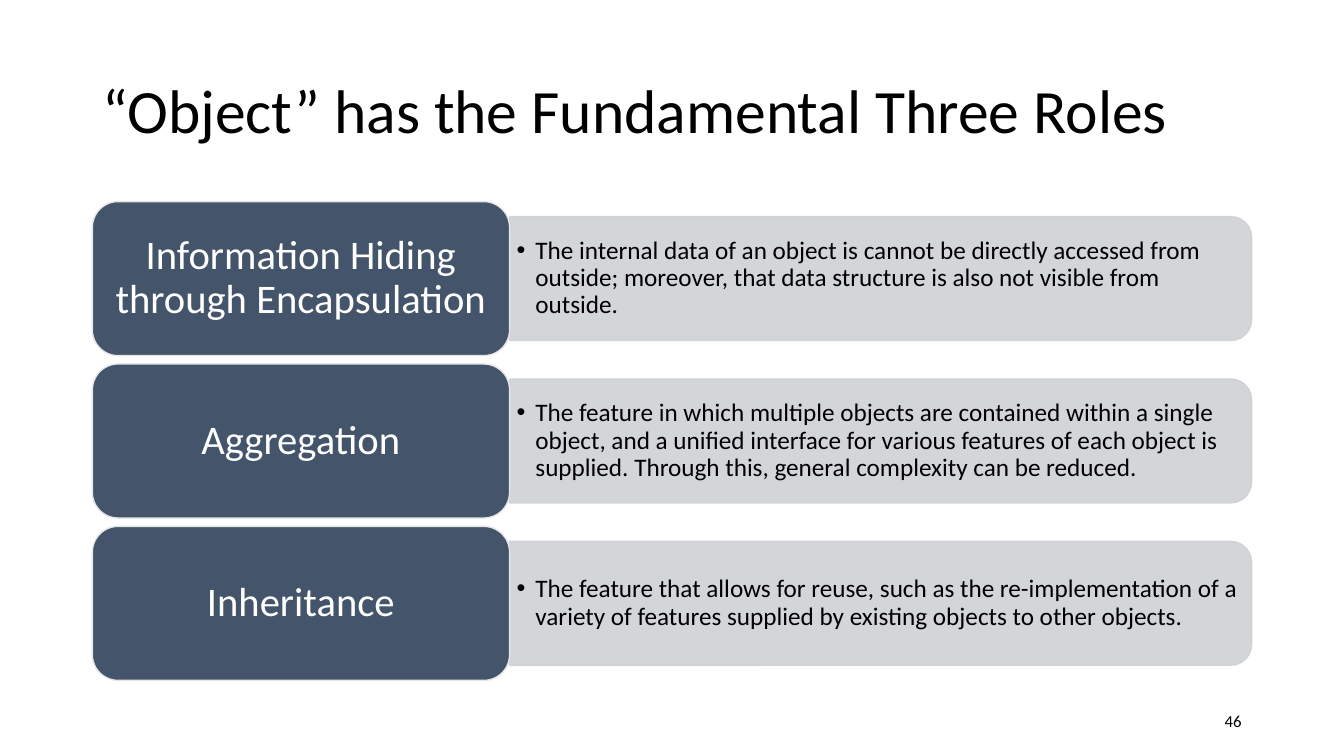
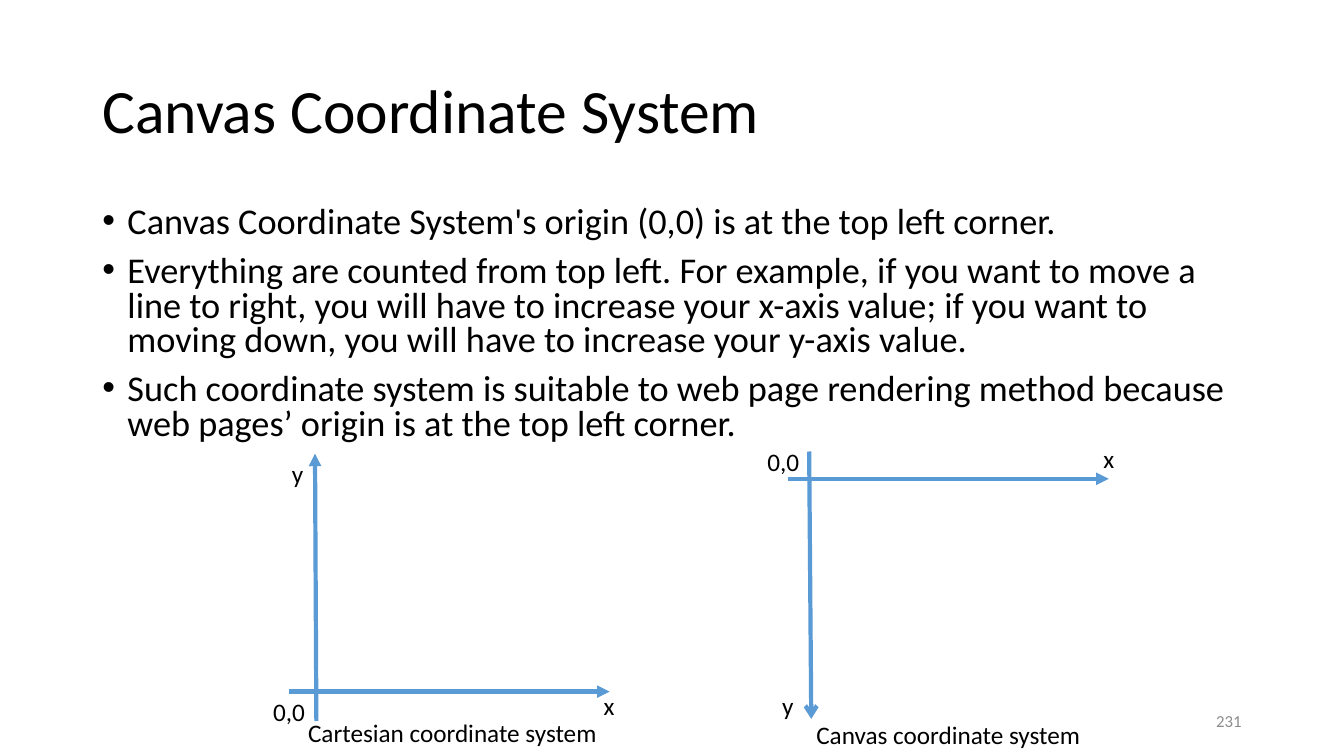
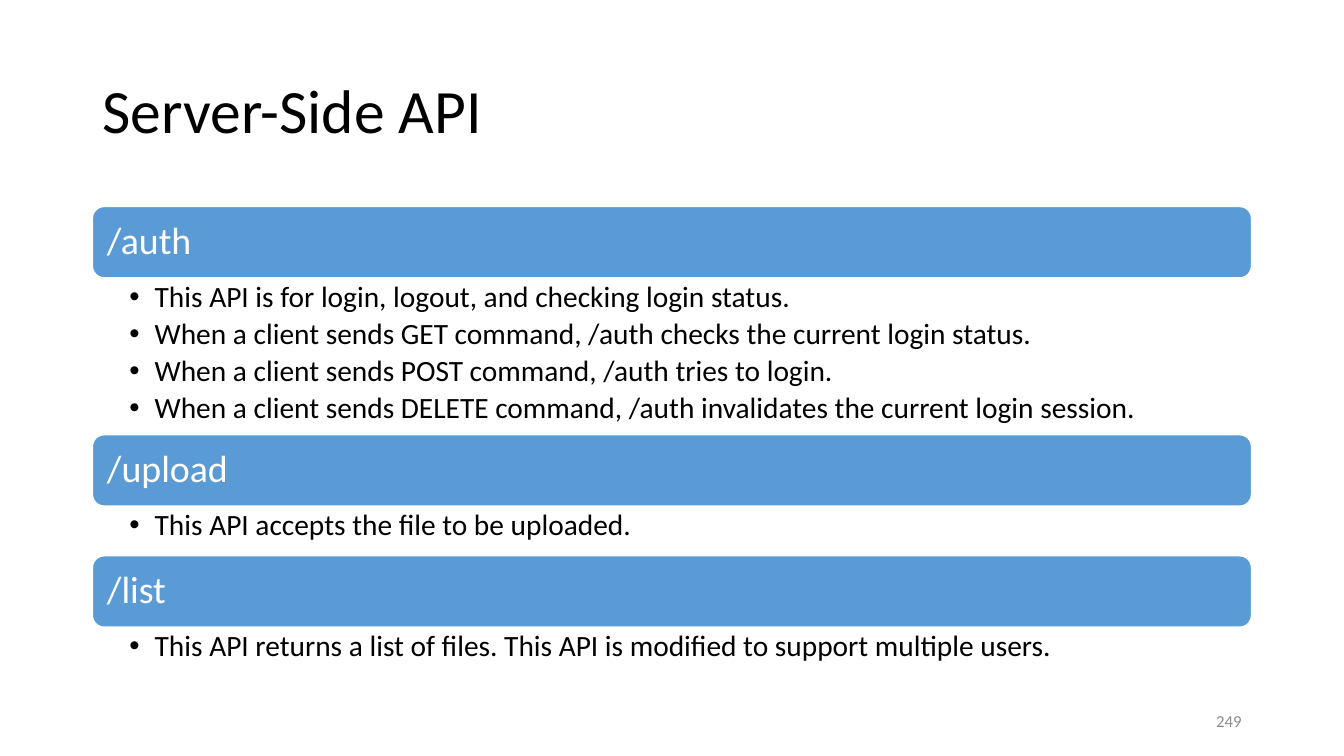
import pptx
import pptx.dml.color
import pptx.enum.shapes
import pptx.enum.text
import pptx.oxml
import pptx.oxml.ns
import pptx.util
from dataclasses import dataclass

Pt = pptx.util.Pt
Preset = pptx.enum.shapes.MSO_SHAPE
Align = pptx.enum.text.PP_ALIGN
Anchor = pptx.enum.text.MSO_ANCHOR
qn = pptx.oxml.ns.qn


@dataclass(frozen=True)
class Theme:
    font: str = "Calibri"
    black: str = "000000"
    white: str = "FFFFFF"
    grey: str = "8C8C8C"
    navy: str = "44546A"
    navy_edge: str = "E7E6E6"
    panel: str = "CFD1D4"
    blue: str = "5B9BD5"
    title_size: float = 44
    role_size: float = 29
    bar_size: float = 27
    body_size: float = 25.9
    list_size: float = 21
    small_size: float = 18
    number_size: float = 12
    left: float = 66
    width: float = 828


theme = Theme()


def add_shape(page, preset, left, top, width, height, fill, line):
    shape = page.shapes.add_shape(preset, Pt(left), Pt(top), Pt(width), Pt(height))
    shape.shadow.inherit = False
    shape.fill.solid()
    shape.fill.fore_color.rgb = pptx.dml.color.RGBColor.from_string(fill)
    shape.line.color.rgb = pptx.dml.color.RGBColor.from_string(line)
    shape.line.width = Pt(1)
    return shape


def write(box, text, size, color=theme.black, align=Align.LEFT, anchor=Anchor.TOP,
          insets=(7.2, 3.6, 7.2, 3.6), spacing=1.0, before=0, after=0, hang=0, wrap=True):
    """Fill a box with text, one paragraph a line; hang gives bullets with that indent."""
    frame = box.text_frame
    frame.word_wrap = wrap
    frame.vertical_anchor = anchor
    (frame.margin_left, frame.margin_top,
     frame.margin_right, frame.margin_bottom) = map(Pt, insets)
    for index, line in enumerate(text.split("\n")):
        para = frame.add_paragraph() if index else frame.paragraphs[0]
        if hang:
            props = para._p.get_or_add_pPr()
            props.set("marL", str(Pt(hang)))
            props.set("indent", str(-Pt(hang)))
            for tag, key, value in (("a:buFont", "typeface", "Arial"), ("a:buChar", "char", "•")):
                props.append(pptx.oxml.ns.qn and props.makeelement(qn(tag), {key: value}))
        para.alignment = align
        para.line_spacing = spacing
        para.space_before = Pt(before if index else 0)
        para.space_after = Pt(after)
        span = para.add_run()
        span.text = line
        span.font.name = theme.font
        span.font.size = Pt(size)
        span.font.color.rgb = pptx.dml.color.RGBColor.from_string(color)


deck = pptx.Presentation()
deck.slide_width, deck.slide_height = Pt(960), Pt(540)

# Pages with their titles and numbers
pages = []
for title, number, number_color in (
    ("“Object” has the Fundamental Three Roles", "46", theme.black),
    ("Canvas Coordinate System", "231", theme.grey),
    ("Server-Side API", "249", theme.grey),
):
    page = deck.slides.add_slide(deck.slide_layouts[6])
    box = page.shapes.add_textbox(Pt(theme.left), Pt(28.75), Pt(theme.width), Pt(104.4))
    write(box, title, theme.title_size, anchor=Anchor.MIDDLE, spacing=0.9)
    box = page.shapes.add_textbox(Pt(678), Pt(500.5), Pt(216), Pt(28.75))
    write(box, number, theme.number_size, number_color, Align.RIGHT, Anchor.MIDDLE)
    pages.append(page)
roles_page, canvas_page, api_page = pages

# Three roles: a label and a panel in each row
roles = (
    ("Information Hiding through Encapsulation",
     "The internal data of an object is cannot be directly accessed from outside; "
     "moreover, that data structure is also not visible from outside."),
    ("Aggregation",
     "The feature in which multiple objects are contained within a single object, and a "
     "unified interface for various features of each object is supplied. Through this, "
     "general complexity can be reduced."),
    ("Inheritance",
     "The feature that allows for reuse, such as the re-implementation of a variety of "
     "features supplied by existing objects to other objects."),
)
label_width, label_height, row_step = 298, 110, 116
panel_left = theme.left + label_width
panel_width, panel_height = theme.width - label_width, 88.5
for row, (role, meaning) in enumerate(roles):
    top = 144 + row * row_step
    middle = top + label_height / 2
    # The panel stands upright and is turned, so that its right corners are round
    panel = add_shape(roles_page, Preset.ROUND_2_SAME_RECTANGLE,
                      panel_left + (panel_width - panel_height) / 2, middle - panel_width / 2,
                      panel_height, panel_width, theme.panel, theme.panel)
    panel.rotation = 90
    for color in panel._element.spPr.iter(qn("a:srgbClr")):
        color.append(color.makeelement(qn("a:alpha"), {"val": "90000"}))
    box = roles_page.shapes.add_textbox(Pt(panel_left), Pt(middle - 40),
                                        Pt(panel_width - 4), Pt(80))
    write(box, meaning, theme.small_size, anchor=Anchor.MIDDLE, insets=(5, 3, 5, 3),
          spacing=0.9, hang=13.5)
    label = add_shape(roles_page, Preset.ROUNDED_RECTANGLE, theme.left, top,
                      label_width, label_height, theme.navy, theme.navy_edge)
    write(label, role, theme.role_size, theme.white, Align.CENTER, Anchor.MIDDLE,
          insets=(8.5, 4, 8.5, 4), spacing=0.9)

# Canvas coordinates: explanation
box = canvas_page.shapes.add_textbox(Pt(theme.left), Pt(144), Pt(theme.width), Pt(187))
write(box,
      "Canvas Coordinate System's origin (0,0) is at the top left corner.\n"
      "Everything are counted from top left. For example, if you want to move a line to right, "
      "you will have to increase your x-axis value; if you want to moving down, you will have "
      "to increase your y-axis value.\n"
      "Such coordinate system is suitable to web page rendering method because web pages’ "
      "origin is at the top left corner.",
      theme.body_size, spacing=0.8, before=10, hang=18)

# Canvas coordinates: axes from start to arrowhead
for start_x, start_y, end_x, end_y, head in (
    (206.5, 494, 435.5, 494, "triangle"),
    (226, 515, 225, 324, "triangle"),
    (563, 342, 792, 342, "triangle"),
    (578, 322.5, 579.5, 513.5, "arrow"),
):
    axis = canvas_page.shapes.add_connector(pptx.enum.shapes.MSO_CONNECTOR.STRAIGHT,
                                            Pt(start_x), Pt(start_y), Pt(end_x), Pt(end_y))
    axis.line.color.rgb = pptx.dml.color.RGBColor.from_string(theme.blue)
    axis.line.width = Pt(3)
    line = axis.line._get_or_add_ln()
    line.append(line.makeelement(qn("a:tailEnd"), {"type": head}))
    props = axis._element.spPr
    props.append(props.makeelement(qn("a:effectLst"), {}))

# Canvas coordinates: axis labels and captions
for text, left, top, width in (
    ("0,0", 188, 494, 37.5),
    ("y", 201.5, 324, 23),
    ("x", 424, 489.5, 23),
    ("x", 781, 313, 23),
    ("y", 551.5, 489.5, 23),
    ("0,0", 541, 315.5, 37.5),
    ("Cartesian coordinate system", 213, 508.5, 227.5),
    ("Canvas coordinate system", 576, 510.5, 205),
):
    box = canvas_page.shapes.add_textbox(Pt(left), Pt(top), Pt(width), Pt(29))
    write(box, text, theme.small_size, wrap=False)

# Server API: a bar for each address with its list below
endpoints = (
    ("/auth",
     "This API is for login, logout, and checking login status.\n"
     "When a client sends GET command, /auth checks the current login status.\n"
     "When a client sends POST command, /auth tries to login.\n"
     "When a client sends DELETE command, /auth invalidates the current login session."),
    ("/upload", "This API accepts the file to be uploaded."),
    ("/list", "This API returns a list of files. This API is modified to support multiple users."),
)
top, bar_height = 147.5, 51
for address, notes in endpoints:
    bar = add_shape(api_page, Preset.ROUNDED_RECTANGLE, theme.left, top,
                    theme.width, bar_height, theme.blue, theme.white)
    write(bar, address, theme.bar_size, theme.white, anchor=Anchor.MIDDLE,
          insets=(8, 8, 8, 8), spacing=0.9)
    top += bar_height
    list_height = 10 + 25.5 * len(notes.split("\n"))
    box = api_page.shapes.add_textbox(Pt(theme.left), Pt(top), Pt(theme.width), Pt(list_height))
    write(box, notes, theme.list_size, insets=(26.5, 3, 15, 3), spacing=0.9, after=3.8, hang=18)
    top += list_height

deck.save("out.pptx")
